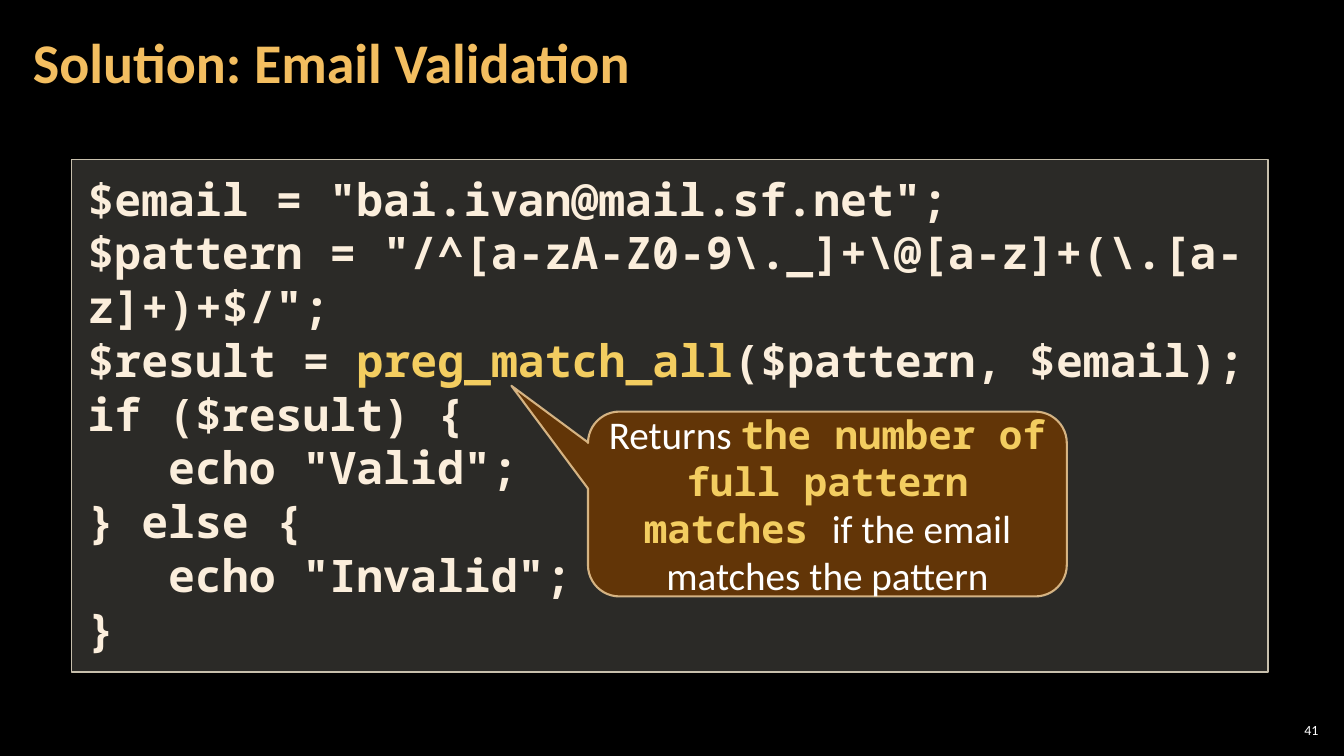
import pptx
import pptx.dml.color
import pptx.enum.shapes
import pptx.enum.text
import pptx.oxml.ns
import pptx.util
from lxml import etree

Pt = pptx.util.Pt
RGBColor = pptx.dml.color.RGBColor
MSO_SHAPE = pptx.enum.shapes.MSO_SHAPE
PP_ALIGN = pptx.enum.text.PP_ALIGN
MSO_ANCHOR = pptx.enum.text.MSO_ANCHOR
qn = pptx.oxml.ns.qn

BLACK = RGBColor(0x00, 0x00, 0x00)
WHITE = RGBColor(0xFF, 0xFF, 0xFF)
ORANGE = RGBColor(0xF3, 0xBE, 0x60)
YELLOW = RGBColor(0xF3, 0xCD, 0x60)
CREAM = RGBColor(0xFB, 0xEE, 0xDC)
PANEL = RGBColor(0xD9, 0xD5, 0xC7)
PANEL_LINE = RGBColor(0xC7, 0xBF, 0xAC)
BROWN = RGBColor(0x66, 0x36, 0x06)
BROWN_LINE = RGBColor(0xF8, 0xD4, 0x9E)

SANS = "Calibri"
MONO = "Noto Sans Mono"

TITLE = "Solution: Email Validation"
PAGE_NUMBER = "41"
CODE = [
    [("$email = \"bai.ivan@mail.sf.net\";", CREAM)],
    [("$pattern = \"/^[a-zA-Z0-9\\._]+\\@[a-z]+(\\.[a-z]+)+$/\";", CREAM)],
    [("$result = ", CREAM), ("preg_match_all", YELLOW), ("($pattern, $email);", CREAM)],
    [("if ($result) {", CREAM)],
    [("   echo \"Valid\";", CREAM)],
    [("} else {", CREAM)],
    [("   echo \"Invalid\";", CREAM)],
    [("}", CREAM)],
]
CALLOUT = [
    ("Returns ", SANS, WHITE, False),
    ("the number of full pattern matches ", MONO, YELLOW, True),
    ("if the email matches the pattern", SANS, WHITE, False),
]
CALLOUT_SHAPE = (-0.66, -0.64, 0.17)


def add_span(para, text, font, size, color, bold=False):
    span = para.add_run()
    span.text = text
    span.font.name = font
    span.font.size = Pt(size)
    span.font.color.rgb = color
    span.font.bold = bold


def set_frame(frame, anchor, side, end):
    frame.word_wrap = True
    frame.vertical_anchor = anchor
    frame.margin_left = frame.margin_right = Pt(side)
    frame.margin_top = frame.margin_bottom = Pt(end)


def set_opacity(parent, percent):
    color = parent.find(qn("a:solidFill")).find(qn("a:srgbClr"))
    alpha = etree.SubElement(color, qn("a:alpha"))
    alpha.set("val", str(percent * 1000))


def add_panel(page, kind, place, fill, fill_opacity, line, line_width):
    panel = page.shapes.add_shape(kind, *map(Pt, place))
    panel.shadow.inherit = False
    panel.fill.solid()
    panel.fill.fore_color.rgb = fill
    set_opacity(panel.element.spPr, fill_opacity)
    panel.line.color.rgb = line
    panel.line.width = Pt(line_width)
    return panel


deck = pptx.Presentation()
deck.slide_width, deck.slide_height = Pt(960), Pt(540)
page = deck.slides.add_slide(deck.slide_layouts[5])
page.background.fill.solid()
page.background.fill.fore_color.rgb = BLACK

title = page.shapes.title
title.left, title.top, title.width, title.height = map(Pt, (15, 3, 754, 87))
set_frame(title.text_frame, MSO_ANCHOR.MIDDLE, 8.5, 2.83)
para = title.text_frame.paragraphs[0]
para.alignment = PP_ALIGN.LEFT
para.line_spacing = 0.9
add_span(para, TITLE, SANS, 40, ORANGE, True)

number = page.shapes.add_textbox(*map(Pt, (911, 514, 33.6, 15.4)))
set_frame(number.text_frame, MSO_ANCHOR.MIDDLE, 2.83, 2.83)
para = number.text_frame.paragraphs[0]
para.alignment = PP_ALIGN.RIGHT
add_span(para, PAGE_NUMBER, SANS, 10, WHITE)

code_box = add_panel(page, MSO_SHAPE.RECTANGLE, (51.2, 113.8, 854.5, 366.3),
                     PANEL, 20, PANEL_LINE, 1)
frame = code_box.text_frame
set_frame(frame, MSO_ANCHOR.TOP, 11.34, 8.5)
for index, line in enumerate(CODE):
    para = frame.add_paragraph() if index else frame.paragraphs[0]
    para.alignment = PP_ALIGN.LEFT
    for text, color in line:
        add_span(para, text, MONO, 32, color, True)

callout = add_panel(page, MSO_SHAPE.ROUNDED_RECTANGULAR_CALLOUT, (420, 294, 342, 132),
                    BROWN, 95, BROWN_LINE, 1.5)
set_opacity(callout.element.spPr.find(qn("a:ln")), 80)
for index, value in enumerate(CALLOUT_SHAPE):
    callout.adjustments[index] = value
set_frame(callout.text_frame, MSO_ANCHOR.MIDDLE, 7.2, 3.6)
para = callout.text_frame.paragraphs[0]
para.alignment = PP_ALIGN.CENTER
for text, font, color, bold in CALLOUT:
    add_span(para, text, font, 28, color, bold)

deck.save("out.pptx")
